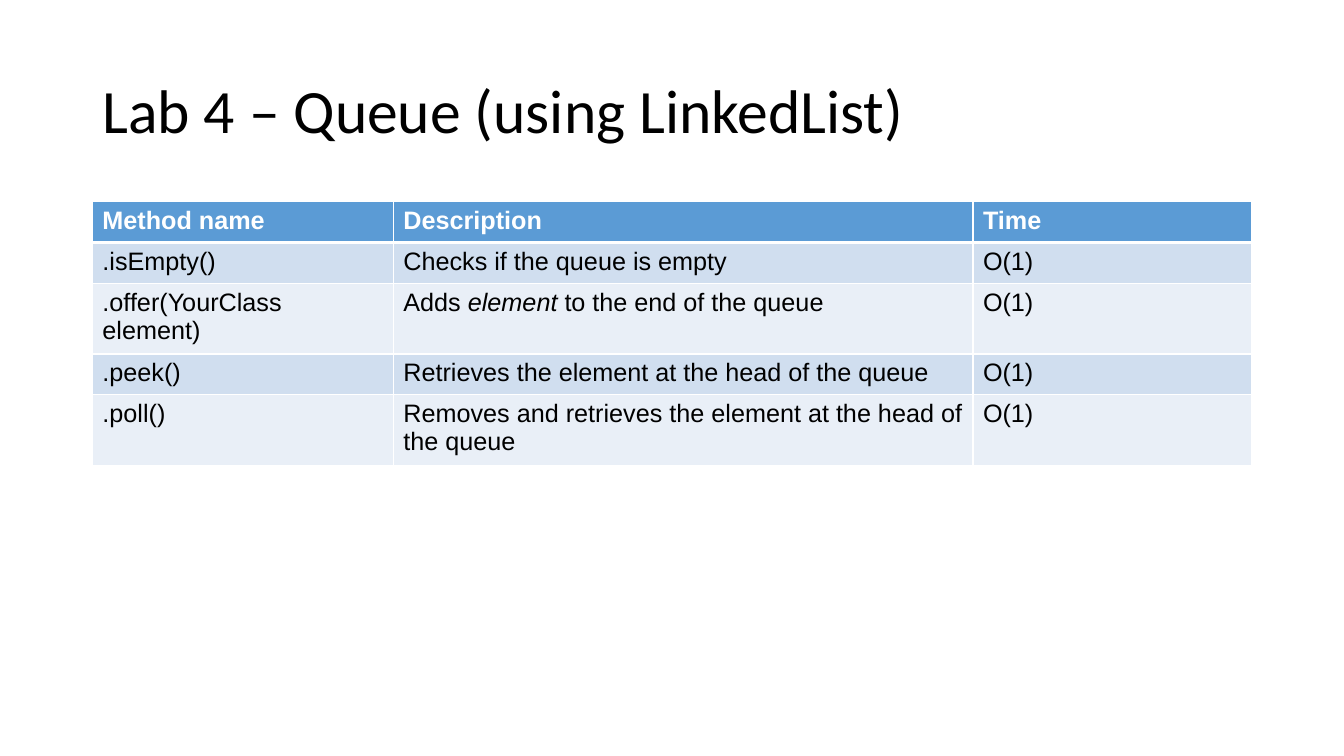
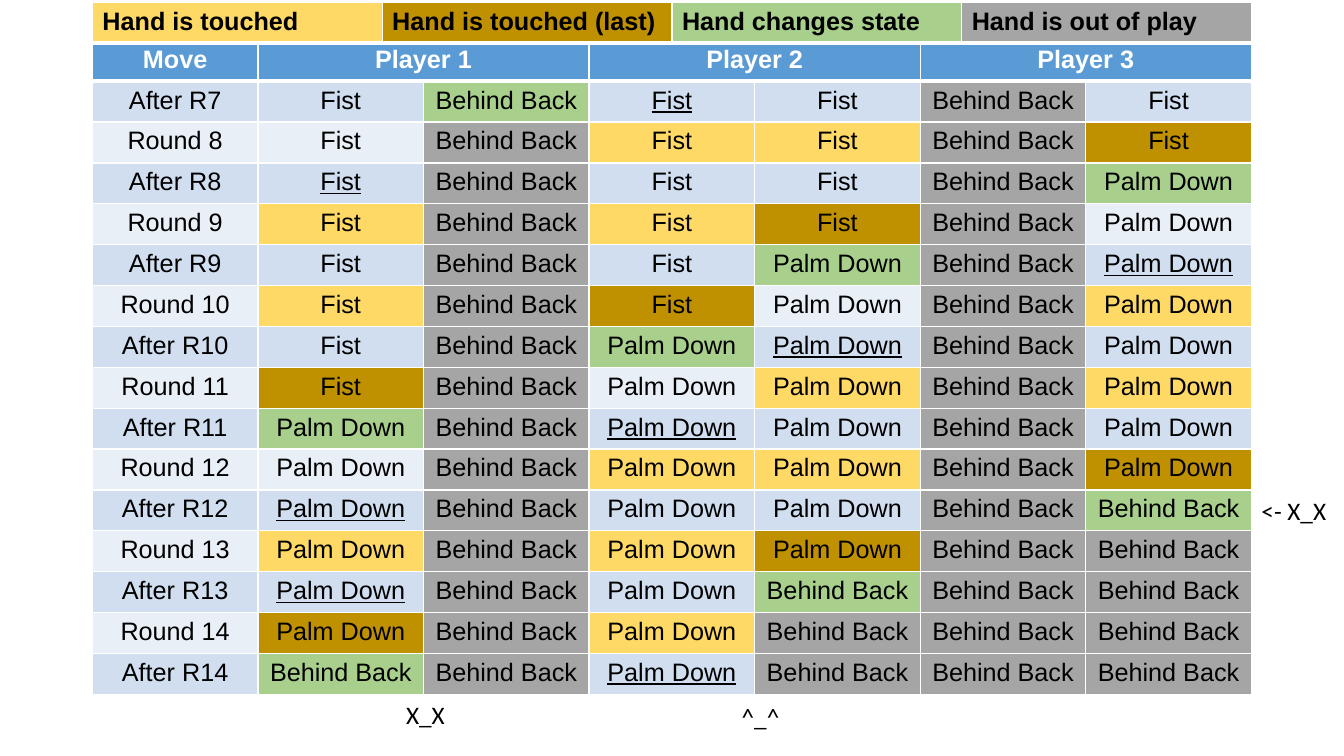
from dataclasses import dataclass

from lxml import etree
from pptx import Presentation
from pptx.dml.color import RGBColor
from pptx.enum.text import MSO_ANCHOR, PP_ALIGN
from pptx.oxml.ns import qn
from pptx.slide import Slide
from pptx.table import _Cell
from pptx.text.text import _Run
from pptx.util import Pt

LEFT, CENTER = PP_ALIGN.LEFT, PP_ALIGN.CENTER
TOP, MIDDLE = MSO_ANCHOR.TOP, MSO_ANCHOR.MIDDLE

WHITE, BLACK, BLUE = "FFFFFF", "000000", "5B9BD5"
BANDS = ("D0DEEF", "E9EFF7")
GOLD, BRONZE, GREEN, GREY = "FFD966", "BF9000", "A8D08C", "A5A5A5"
EDGE, WIDTH, ROW = 66, 828, 29.2
THIN, THICK = 1, 3


@dataclass
class Item:
    text: str
    fill: str
    color: str = BLACK
    bold: bool = False
    under: bool = False
    span: int = 1


@dataclass
class Note:
    text: str
    left: float
    top: float
    width: float = 66
    height: float = 29
    size: float = 18
    anchor: MSO_ANCHOR = TOP
    pitch: float = 1.0


TITLE = Note("Lab 4 – Queue (using LinkedList)", EDGE, 28.8, WIDTH, 104.4, 44, MIDDLE, 0.9)
NOTES = [
    Note("<- X_X", 894, 350.6),
    Note("X_X", 283, 496),
    Note("^_^", 522.7, 497.5),
]
METHODS = [
    (".isEmpty()", "Checks if the queue is empty"),
    (".offer(YourClass element)", "Adds *element* to the end of the queue"),
    (".peek()", "Retrieves the element at the head of the queue"),
    (".poll()", "Removes and retrieves the element at the head of the queue"),
]
LEGEND = [
    ("Hand is touched", GOLD),
    ("Hand is touched (last)", BRONZE),
    ("Hand changes state", GREEN),
    ("Hand is out of play", GREY),
]
HANDS = {"F": "Fist", "P": "Palm Down", "B": "Behind Back"}
MARKS = {"t": GOLD, "l": BRONZE, "c": GREEN}
MOVES = [
    "F Bc F_ F B F",
    "F B Ft Ft B Fl",
    "F_ B F F B Pc",
    "Ft B Ft Fl B P",
    "F B F Pc B P_",
    "Ft B Fl P B Pt",
    "F B Pc P_ B P",
    "Fl B P Pt B Pt",
    "Pc B P_ P B P",
    "P B Pt Pt B Pl",
    "P_ B P P B Bc",
    "Pt B Pt Pl B B",
    "P_ B P Bc B B",
    "Pl B Pt B B B",
    "Bc B P_ B B B",
]


def paint(code: str) -> RGBColor:
    return RGBColor.from_string(code)


def style(run: _Run, face: str, size: float, color: str) -> None:
    run.font.name = face
    run.font.size = Pt(size)
    run.font.color.rgb = paint(color)


def border(cell: _Cell, top: float, bottom: float) -> None:
    props = cell._tc.get_or_add_tcPr()
    sides = {"a:lnL": THIN, "a:lnR": THIN, "a:lnT": top, "a:lnB": bottom}
    for tag, size in sides.items():
        line = etree.SubElement(props, qn(tag), w=str(Pt(size)))
        fill = etree.SubElement(line, qn("a:solidFill"))
        etree.SubElement(fill, qn("a:srgbClr"), val=WHITE)


def write(cell: _Cell, item: Item, align: PP_ALIGN) -> None:
    cell.fill.solid()
    cell.fill.fore_color.rgb = paint(item.fill)
    para = cell.text_frame.paragraphs[0]
    para.alignment = align
    first, *rest = item.text.split("*")
    para.text = first
    for part in rest:
        para.add_run().text = part
    for index, run in enumerate(para.runs):
        style(run, "Arial", 18, item.color)
        run.font.bold = item.bold
        run.font.underline = item.under
        run.font.italic = index % 2 == 1


def grid(slide: Slide, top: float, cols: list[float], rows: list[list[Item]],
         align: PP_ALIGN = LEFT) -> None:
    frame = slide.shapes.add_table(len(rows), len(cols), Pt(EDGE), Pt(top),
                                   Pt(WIDTH), Pt(ROW * len(rows)))
    table = frame.table
    table.first_row = table.horz_banding = False
    for col, width in zip(table.columns, cols):
        col.width = Pt(width)
    for y, row in enumerate(rows):
        table.rows[y].height = Pt(ROW)
        for x in range(len(cols)):
            border(table.cell(y, x), THICK if y == 1 else THIN, THICK if y == 0 else THIN)
        x = 0
        for item in row:
            cell = table.cell(y, x)
            write(cell, item, align)
            if item.span > 1:
                cell.merge(table.cell(y, x + item.span - 1))
            x += item.span


def label(slide: Slide, note: Note) -> None:
    box = slide.shapes.add_textbox(Pt(note.left), Pt(note.top), Pt(note.width), Pt(note.height))
    frame = box.text_frame
    frame.word_wrap = True
    frame.vertical_anchor = note.anchor
    frame.text = note.text
    para = frame.paragraphs[0]
    para.line_spacing = note.pitch
    style(para.runs[0], "Calibri", note.size, BLACK)


def head(text: str, span: int = 1) -> Item:
    return Item(text, BLUE, WHITE, bold=True, span=span)


def hand(code: str, band: str) -> Item:
    base = GREY if code[0] == "B" else band
    return Item(HANDS[code[0]], MARKS.get(code[1:], base), under=code.endswith("_"))


def queue(slide: Slide) -> None:
    label(slide, TITLE)
    rows = [[head(name) for name in ("Method name", "Description", "Time")]]
    for index, texts in enumerate(METHODS):
        rows.append([Item(text, BANDS[index % 2]) for text in (*texts, "O(1)")])
    grid(slide, 144, [215, 414, 199], rows)


def game(slide: Slide) -> None:
    rows = [[head("Move")] + [head(f"Player {num}", 2) for num in (1, 2, 3)]]
    for index, codes in enumerate(MOVES):
        band = BANDS[index % 2]
        stage = "Round" if index % 2 else "After"
        count = 7 + (index + 1) // 2
        name = f"{stage} {count}" if index % 2 else f"{stage} R{count}"
        rows.append([Item(name, band)] + [hand(code, band) for code in codes.split()])
    grid(slide, 28.8, [WIDTH / 7] * 7, rows, CENTER)
    for note in NOTES:
        label(slide, note)
    grid(slide, 1.5, [WIDTH / 4] * 4, [[Item(text, fill, bold=True) for text, fill in LEGEND]])


def main() -> None:
    deck = Presentation()
    deck.slide_width, deck.slide_height = Pt(960), Pt(540)
    for draw in (queue, game):
        draw(deck.slides.add_slide(deck.slide_layouts[6]))
    deck.save("out.pptx")


if __name__ == "__main__":
    main()
